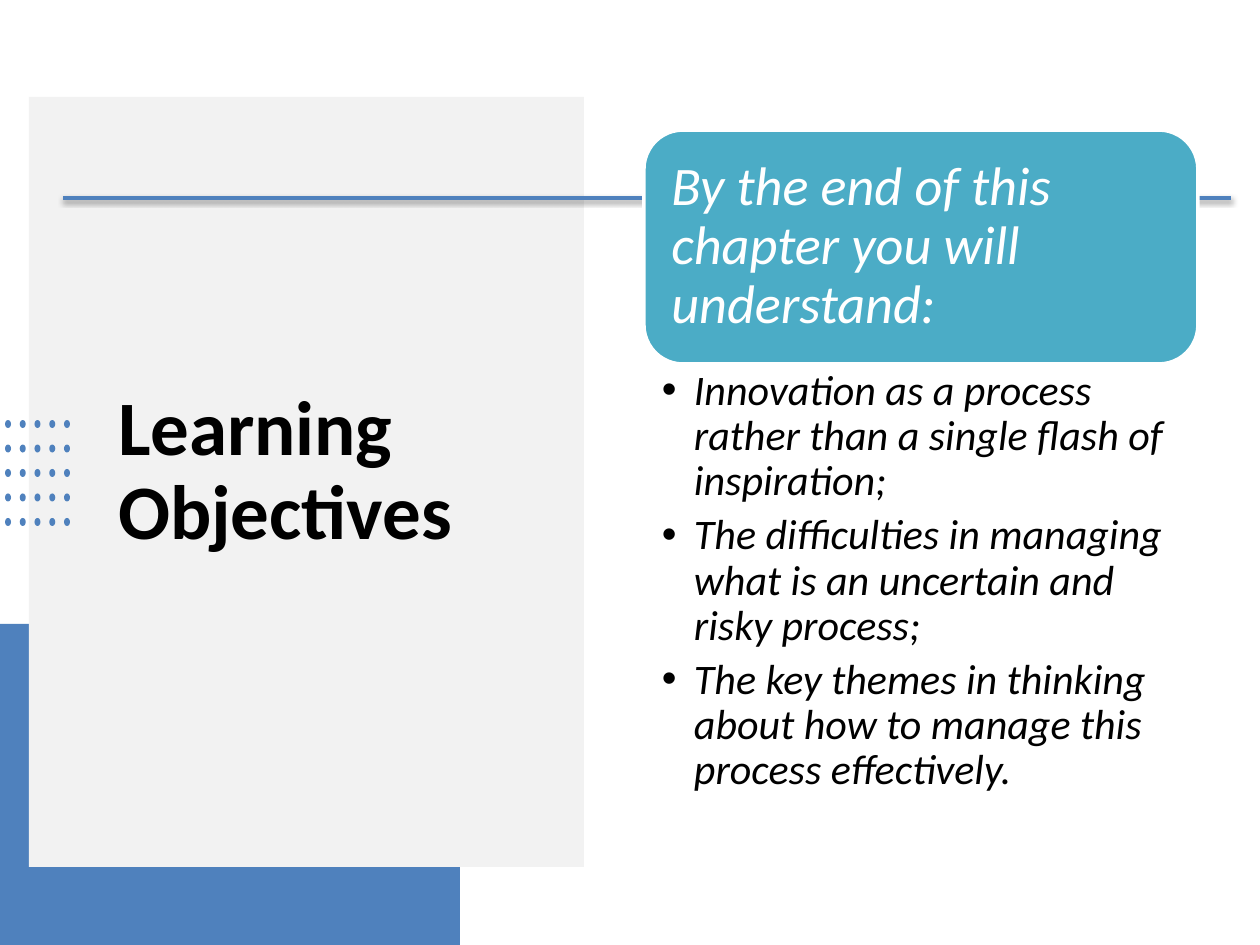
from collections import namedtuple
from dataclasses import dataclass

from lxml import etree
from pptx import Presentation
from pptx.dml.color import RGBColor
from pptx.enum.shapes import MSO_CONNECTOR, MSO_SHAPE
from pptx.enum.text import MSO_ANCHOR, PP_ALIGN
from pptx.oxml.ns import qn
from pptx.util import Pt

RECTANGLE = MSO_SHAPE.RECTANGLE
ROUNDED = MSO_SHAPE.ROUNDED_RECTANGLE
OVAL = MSO_SHAPE.OVAL
STRAIGHT = MSO_CONNECTOR.STRAIGHT
LEFT = PP_ALIGN.LEFT
TOP = MSO_ANCHOR.TOP
MIDDLE = MSO_ANCHOR.MIDDLE

EMU_PER_PX = 914400 / 126
Box = namedtuple("Box", "left top width height")


@dataclass(frozen=True)
class Theme:
    font: str = "Calibri"
    accent: RGBColor = RGBColor(0x4F, 0x81, 0xBD)
    panel: RGBColor = RGBColor(0xF2, 0xF2, 0xF2)
    header: RGBColor = RGBColor(0x4B, 0xAC, 0xC6)
    dark: RGBColor = RGBColor(0, 0, 0)
    light: RGBColor = RGBColor(0xFF, 0xFF, 0xFF)
    title_size: int = 44
    header_size: int = 31
    body_size: int = 24
    line_width: int = 2


THEME = Theme()
TITLE = "Learning Objectives"
HEADER = "By the end of this chapter you will understand:"
OBJECTIVES = [
    "Innovation as a process rather than a single flash of inspiration;",
    "The difficulties in managing what is an uncertain and risky process;",
    "The key themes in thinking about how to manage this process effectively.",
]


def px(value):
    return round(value * EMU_PER_PX)


def add_block(shapes, kind, box, fill):
    shape = shapes.add_shape(kind, *map(px, box))
    shape.shadow.inherit = False
    shape.fill.solid()
    shape.fill.fore_color.rgb = fill
    shape.line.fill.background()
    return shape


def set_text(text_frame, lines, size, color, anchor, insets, bold=False, italic=False):
    text_frame.word_wrap = True
    text_frame.vertical_anchor = anchor
    (text_frame.margin_left, text_frame.margin_top,
     text_frame.margin_right, text_frame.margin_bottom) = map(px, insets)
    text_frame.text = "\n".join(lines)
    for paragraph in text_frame.paragraphs:
        paragraph.alignment = LEFT
        paragraph.line_spacing = 0.9
        for run in paragraph.runs:
            font = run.font
            font.name, font.size, font.color.rgb = THEME.font, Pt(size), color
            font.bold, font.italic = bold, italic


def add_bullet(paragraph, indent):
    properties = paragraph._p.get_or_add_pPr()
    properties.set("marL", str(px(indent)))
    properties.set("indent", str(-px(indent)))
    etree.SubElement(properties, qn("a:buFont"), typeface="Arial")
    etree.SubElement(properties, qn("a:buChar"), char="•")


def add_dot_grid(slide, box, count=5, dot_width=6, dot_height=8):
    group = slide.shapes.add_group_shape()
    step_x = (box.width - dot_width) / (count - 1)
    step_y = (box.height - dot_height) / (count - 1)
    for column in range(count):
        for row in range(count):
            dot = Box(box.left + column * step_x, box.top + row * step_y,
                      dot_width, dot_height)
            add_block(group.shapes, OVAL, dot, THEME.accent)


def add_title_panel(slide, box):
    # Accent corner behind the grey panel
    corner = Box(box.left - 29, box.top + 527, 460, 321)
    add_block(slide.shapes, RECTANGLE, corner, THEME.accent)
    add_block(slide.shapes, RECTANGLE, box, THEME.panel)

    # Title
    title_box = Box(box.left + 76, box.top + 88, 433, 575)
    title = slide.shapes.add_textbox(*map(px, title_box))
    set_text(title.text_frame, [TITLE], THEME.title_size, THEME.dark,
             MIDDLE, (13, 6, 13, 6), bold=True)

    # Dots across the panel's left edge
    add_dot_grid(slide, Box(box.left - 24, box.top + 323, 65, 106))


def add_rule(slide, box):
    rule = slide.shapes.add_connector(
        STRAIGHT, px(box.left), px(box.top), px(box.left + box.width), px(box.top))
    rule.line.color.rgb = THEME.accent
    rule.line.width = Pt(THEME.line_width)

    # Soft shadow below the rule
    effects = etree.SubElement(rule._element.spPr, qn("a:effectLst"))
    shadow = etree.SubElement(
        effects, qn("a:outerShdw"), blurRad=str(Pt(3.1)), dist=str(Pt(1.6)),
        dir="5400000", rotWithShape="0")
    color = etree.SubElement(shadow, qn("a:srgbClr"), val=str(THEME.dark))
    etree.SubElement(color, qn("a:alpha"), val="38000")


def add_objectives(slide, box, header_height=234):
    # Header
    header_box = box._replace(height=header_height)
    header = add_block(slide.shapes, ROUNDED, header_box, THEME.header)
    header.line.color.rgb = THEME.light
    header.line.width = Pt(THEME.line_width)
    set_text(header.text_frame, [HEADER], THEME.header_size, THEME.light,
             MIDDLE, (16, 16, 16, 16), italic=True)

    # Bulleted list
    list_box = box._replace(top=box.top + header_height,
                            height=box.height - header_height)
    body = slide.shapes.add_textbox(*map(px, list_box))
    set_text(body.text_frame, OBJECTIVES, THEME.body_size, THEME.dark,
             TOP, (18, 5, 30, 5), italic=True)
    for paragraph in body.text_frame.paragraphs:
        paragraph.space_after = Pt(THEME.body_size * 0.2)
        add_bullet(paragraph, 32)


def main():
    presentation = Presentation()
    presentation.slide_width, presentation.slide_height = px(1260), px(945)
    slide = presentation.slides.add_slide(presentation.slide_layouts[6])
    add_title_panel(slide, Box(29, 97, 555, 770))
    add_rule(slide, Box(63, 198, 1168, 0))
    add_objectives(slide, Box(644, 130, 554, 685))
    presentation.save("out.pptx")


if __name__ == "__main__":
    main()
